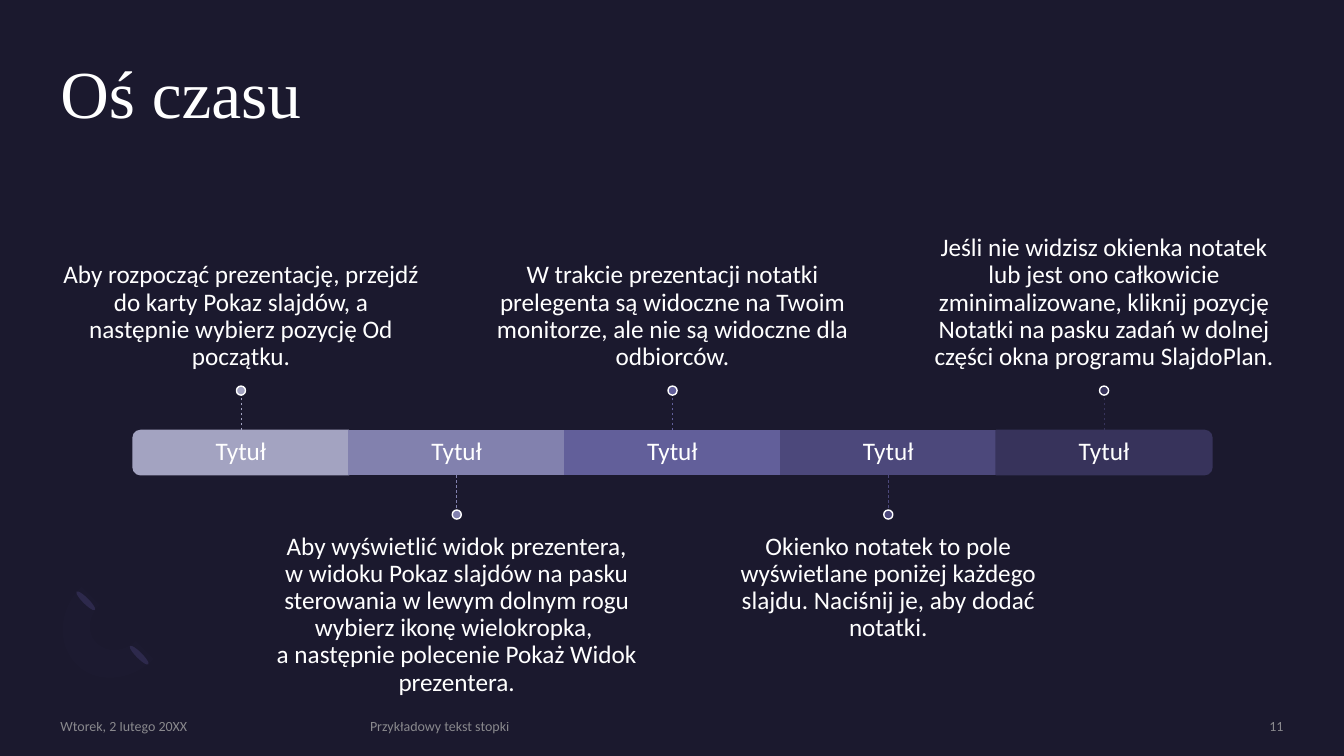
from dataclasses import dataclass

from lxml import etree
from pptx import Presentation
from pptx.dml.color import RGBColor
from pptx.enum.dml import MSO_LINE
from pptx.enum.shapes import MSO_CONNECTOR, MSO_SHAPE
from pptx.enum.text import MSO_ANCHOR, PP_ALIGN
from pptx.oxml.ns import qn
from pptx.util import Inches, Pt

DASH = MSO_LINE.DASH
STRAIGHT = MSO_CONNECTOR.STRAIGHT
OVAL, RECT, CAP = MSO_SHAPE.OVAL, MSO_SHAPE.RECTANGLE, MSO_SHAPE.ROUND_2_SAME_RECTANGLE
TOP, MIDDLE, BOTTOM = MSO_ANCHOR.TOP, MSO_ANCHOR.MIDDLE, MSO_ANCHOR.BOTTOM
LEFT, CENTER, RIGHT = PP_ALIGN.LEFT, PP_ALIGN.CENTER, PP_ALIGN.RIGHT


@dataclass(frozen=True)
class Theme:
    """Colours, fonts and type sizes of the slide."""
    background: str = "1B192E"
    text: str = "FFFFFF"
    footer: str = "A6A6A6"
    petal: str = "2C284A"
    arc: str = "7771B2"
    heading_font: str = "Times New Roman"
    body_font: str = "Calibri"
    title_size: int = 48
    body_size: int = 18
    footer_size: int = 10


@dataclass(frozen=True)
class Box:
    """Position and size in inches."""
    left: float
    top: float
    width: float
    height: float

    def emu(self) -> list:
        """Return the four lengths for python-pptx."""
        return [Inches(v) for v in (self.left, self.top, self.width, self.height)]


@dataclass(frozen=True)
class Style:
    """Type and placement of a text."""
    size: int
    font: str
    color: str
    align: PP_ALIGN = LEFT
    anchor: MSO_ANCHOR = TOP
    insets: tuple = (0, 0, 0, 0)
    spacing: float = 1.0
    alpha: int = 100


@dataclass(frozen=True)
class Milestone:
    """One step of the timeline."""
    label: str
    note: str
    color: str
    rotation: int = 0


@dataclass(frozen=True)
class Footer:
    """One footer entry."""
    text: str
    left: float
    width: float
    align: PP_ALIGN = LEFT


THEME = Theme()
BAR_LEFT, BAR_TOP, STEP, BAR_HEIGHT = 1.32, 4.27, 2.14, 0.44
STEM, DOT = 0.35, 0.09
NOTE_WIDTH, NOTE_HEIGHT = 3.57, 1.52
PAD = 0.15

MILESTONES = [
    Milestone("Tytuł", "Aby rozpocząć prezentację, przejdź do karty Pokaz slajdów, a następnie "
              "wybierz pozycję Od początku.", "A3A3C1", 270),
    Milestone("Tytuł", "Aby wyświetlić widok prezentera, w widoku Pokaz slajdów na pasku sterowania "
              "w lewym dolnym rogu wybierz ikonę wielokropka, \na następnie polecenie Pokaż "
              "Widok prezentera.", "8281AE"),
    Milestone("Tytuł", "W trakcie prezentacji notatki prelegenta są widoczne na Twoim monitorze, "
              "ale nie są widoczne dla odbiorców.", "625F9A"),
    Milestone("Tytuł", "Okienko notatek to pole wyświetlane poniżej każdego slajdu. Naciśnij je, "
              "aby dodać notatki.", "4C487B"),
    Milestone("Tytuł", "Jeśli nie widzisz okienka notatek lub jest ono całkowicie zminimalizowane, "
              "kliknij pozycję Notatki na pasku zadań w dolnej części okna programu SlajdoPlan.",
              "37335B", 90),
]
FOOTERS = [
    Footer("Wtorek, 2 lutego 20XX", 0.6, 2.88),
    Footer("Przykładowy tekst stopki", 3.67, 6.98),
    Footer("11", 10.88, 1.85, RIGHT),
]
PETALS = [Box(1.35, 6.37, 0.06, 0.26), Box(0.82, 5.83, 0.06, 0.26)]
ARC_OUTER = [
    ((0.76, 6.59), (0.56, 6.39), (0.58, 6.05), (0.81, 5.82)),
    ((0.99, 6), (0.87, 6.11), (0.86, 6.29), (0.96, 6.38)),
    ((0.96, 6.38), (1.06, 6.48), (1.23, 6.47), (1.35, 6.36)),
    ((1.52, 6.54), (1.3, 6.76), (0.95, 6.79), (0.76, 6.59)),
]


def set_alpha(fill, alpha: int) -> None:
    """Make a solid fill partly transparent."""
    color = fill._xPr.find(qn("a:solidFill"))[0]
    etree.SubElement(color, qn("a:alpha"), val=str(alpha * 1000))


def paint(sp, color: str, outline: str = "") -> None:
    """Give a shape a flat fill and an optional outline."""
    sp.shadow.inherit = False
    sp.fill.solid()
    sp.fill.fore_color.rgb = RGBColor.from_string(color)
    if outline:
        sp.line.color.rgb = RGBColor.from_string(outline)
        sp.line.width = Pt(1)
    else:
        sp.line.fill.background()


def add_shape(s, kind: MSO_SHAPE, box: Box, color: str, outline: str = "", rotation: int = 0):
    """Add a painted preset shape."""
    sp = s.shapes.add_shape(kind, *box.emu())
    sp.rotation = rotation
    paint(sp, color, outline)
    return sp


def add_text(s, text: str, box: Box, style: Style) -> None:
    """Add a one-paragraph text box, breaking lines at newlines."""
    tf = s.shapes.add_textbox(*box.emu()).text_frame
    tf.word_wrap = True
    tf.vertical_anchor = style.anchor
    tf.margin_left, tf.margin_top, tf.margin_right, tf.margin_bottom = map(Inches, style.insets)
    p = tf.paragraphs[0]
    p.alignment, p.line_spacing = style.align, style.spacing
    for i, part in enumerate(text.split("\n")):
        if i:
            p.add_line_break()
        r = p.add_run()
        r.text = part
        r.font.size, r.font.name = Pt(style.size), style.font
        r.font.fill.solid()
        r.font.fill.fore_color.rgb = RGBColor.from_string(style.color)
        if style.alpha < 100:
            set_alpha(r.font.fill, style.alpha)


def add_ornament(s) -> None:
    """Draw the faint arc and its two petals."""
    for petal in PETALS:
        add_shape(s, OVAL, petal, THEME.petal, rotation=135)
    points = []
    for a, b, c, d in ARC_OUTER:
        for t in (i / 12 for i in range(13)):
            u = 1 - t
            points.append(tuple(Inches(u**3 * a[k] + 3 * u * u * t * b[k]
                                       + 3 * u * t * t * c[k] + t**3 * d[k]) for k in (0, 1)))
    builder = s.shapes.build_freeform(*points[0])
    builder.add_line_segments(points[1:])
    sp = builder.convert_to_shape()
    paint(sp, THEME.arc)
    set_alpha(sp.fill, 2)


def add_milestone(s, index: int, item: Milestone) -> None:
    """Draw a bar segment with its label, note, stem and dot."""
    above = index % 2 == 0
    left = BAR_LEFT + index * STEP
    center = left + STEP / 2
    bar = Box(left, BAR_TOP, STEP, BAR_HEIGHT)
    edge = BAR_TOP if above else BAR_TOP + BAR_HEIGHT
    tip = edge - STEM if above else edge + STEM
    if item.rotation:
        upright = Box(center - BAR_HEIGHT / 2, BAR_TOP + (BAR_HEIGHT - STEP) / 2, BAR_HEIGHT, STEP)
        sp = add_shape(s, CAP, upright, item.color, item.color, item.rotation)
    else:
        sp = add_shape(s, RECT, bar, item.color, item.color)
    body = (THEME.body_size, THEME.body_font, THEME.text, CENTER)
    add_text(s, item.label, bar, Style(*body, MIDDLE, (PAD,) * 4, 0.9))
    note = Box(center - NOTE_WIDTH / 2, 2.31 if above else 5.14, NOTE_WIDTH, NOTE_HEIGHT)
    anchor, insets = (BOTTOM, (0, 0, 0, PAD)) if above else (TOP, (0, PAD, 0, 0))
    add_text(s, item.note, note, Style(*body, anchor, insets, 0.9))
    stem = s.shapes.add_connector(STRAIGHT, *map(Inches, (center, edge, center, tip)))
    if not item.rotation:
        stem.begin_connect(sp, 0 if above else 2)
    stem.line.color.rgb = RGBColor.from_string(item.color)
    stem.line.width, stem.line.dash_style = Pt(0.5), DASH
    etree.SubElement(stem._element.spPr, qn("a:effectLst"))
    dot = Box(center - DOT / 2, tip - DOT if above else tip, DOT, DOT)
    add_shape(s, OVAL, dot, item.color, THEME.text)


def main() -> None:
    """Build and save the timeline slide."""
    prs = Presentation()
    prs.slide_width, prs.slide_height = Inches(13.33), Inches(7.5)
    s = prs.slides.add_slide(prs.slide_layouts[6])
    s.background.fill.solid()
    s.background.fill.fore_color.rgb = RGBColor.from_string(THEME.background)
    add_ornament(s)
    add_text(s, "Oś czasu", Box(0.6, 0.6, 12.13, 1.46),
             Style(THEME.title_size, THEME.heading_font, THEME.text, spacing=0.9))
    for index, item in enumerate(MILESTONES):
        add_milestone(s, index, item)
    for item in FOOTERS:
        add_text(s, item.text, Box(item.left, 7.12, item.width, 0.17),
                 Style(THEME.footer_size, THEME.body_font, THEME.footer, item.align, MIDDLE, alpha=80))
    prs.save("out.pptx")


if __name__ == "__main__":
    main()
